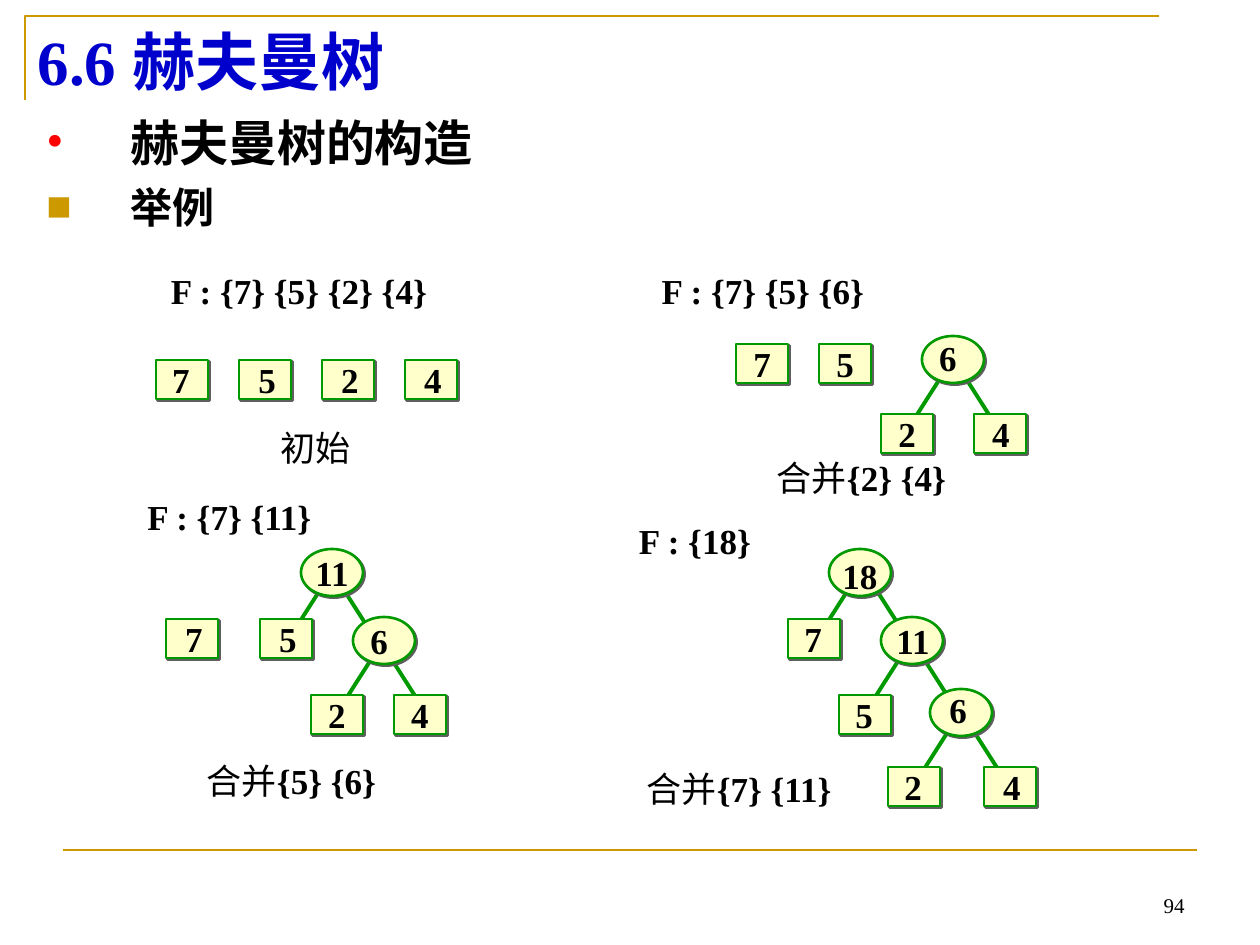
from lxml import etree
from pptx import Presentation
from pptx.dml.color import RGBColor
from pptx.enum.shapes import MSO_CONNECTOR, MSO_SHAPE
from pptx.enum.text import MSO_ANCHOR, MSO_AUTO_SIZE, PP_ALIGN
from pptx.oxml.ns import qn
from pptx.util import Pt

EMU_PER_PX = 914400 / 126
RECT, OVAL = MSO_SHAPE.RECTANGLE, MSO_SHAPE.OVAL
STRAIGHT = MSO_CONNECTOR.STRAIGHT
TOP, MIDDLE, BOTTOM = MSO_ANCHOR.TOP, MSO_ANCHOR.MIDDLE, MSO_ANCHOR.BOTTOM
LEFT, CENTER, RIGHT = PP_ALIGN.LEFT, PP_ALIGN.CENTER, PP_ALIGN.RIGHT
GROW, FIXED = MSO_AUTO_SIZE.SHAPE_TO_FIT_TEXT, MSO_AUTO_SIZE.NONE

SERIF, CJK = "Times New Roman", "Noto Sans CJK SC"
BLACK, BLUE, RED, GOLD = "000000", "0000CC", "FF0000", "CC9900"
GREEN, CREAM, SHADOW = "009900", "FFFFCC", "5F5F5F"

PLAIN = {"size": Pt(20), "name": SERIF, "bold": False}
BOLD = {**PLAIN, "bold": True}
TITLE = {**BOLD, "size": Pt(36)}
NUMBER = {**PLAIN, "size": Pt(12)}

LEAF_SIZE, BRANCH_SIZE = (52, 39), (62, 47)

# label, left, top, label shift from the centre
LEAVES = [
    *((label, 156 + 83 * i, 360, 2 if i else -1) for i, label in enumerate("7524")),
    ("7", 736, 344, 0), ("5", 819, 344, 0), ("2", 881, 414, 0), ("4", 974, 414, 1),
    ("7", 166, 619, 2), ("5", 260, 619, 2), ("2", 311, 695, 0), ("4", 394, 695, 0),
    ("7", 788, 619, -1), ("5", 839, 695, -1), ("2", 888, 767, -1), ("4", 984, 767, 2),
]
# label, left, top, label shift (x, y), start of the right edge below the centre
BRANCHES = [
    ("6", 922, 336, (-5, -2), 16),
    ("11", 301, 549, (0, 0), 16), ("6", 353, 617, (-5, 0), 24),
    ("18", 829, 549, (0, 3), 9), ("11", 881, 617, (1, 0), 17),
    ("6", 930, 689, (-3, -3), 16),
]
# left, top, width, plain part, bold part
CAPTIONS = [
    (158, 263, 282, "", "F : {7} {5} {2} {4}"), (649, 263, 228, "", "F : {7} {5} {6}"),
    (134, 489, 191, "", "F : {7} {11}"), (626, 513, 138, "", "F : {18}"),
    (268, 420, 95, "初始", ""), (760, 450, 203, "合并", "{2} {4}"),
    (190, 753, 203, "合并", "{5} {6}"), (629, 761, 220, "合并", "{7} {11}"),
]


def px(value):
    return round(value * EMU_PER_PX)


def rgb(value):
    return RGBColor.from_string(value)


def add_xml(parent, tag, **attributes):
    child = etree.SubElement(parent, qn(tag))
    for name, value in attributes.items():
        child.set(name, str(value))
    return child


def add_span(para, text, style, color=BLACK):
    span = para.add_run()
    span.text = text
    for name, value in style.items():
        setattr(span.font, name, value)
    span.font.color.rgb = rgb(color)
    add_xml(span.font._element, "a:ea", typeface=CJK)


def format_frame(frame, anchor, wrap):
    settings = {
        "vertical_anchor": anchor, "word_wrap": wrap,
        "auto_size": FIXED if wrap else GROW,
        "margin_left": px(12.6), "margin_right": px(12.6),
        "margin_top": px(6.3), "margin_bottom": px(6.3),
    }
    for name, value in settings.items():
        setattr(frame, name, value)


def add_text(page, left, top, width, height, spans, anchor=MIDDLE, align=CENTER, wrap=False):
    box = page.shapes.add_textbox(px(left), px(top), px(width), px(height))
    format_frame(box.text_frame, anchor, wrap)
    para = box.text_frame.paragraphs[0]
    para.alignment = align
    for text, style in spans:
        if text:
            add_span(para, text, style)


def add_line(page, x1, y1, x2, y2, color, width):
    line = page.shapes.add_connector(STRAIGHT, px(x1), px(y1), px(x2), px(y2))
    line.line.color.rgb = rgb(color)
    line.line.width = Pt(width)
    add_xml(line._element.spPr, "a:effectLst")


def add_node(page, kind, size, left, top):
    """Draw a tree node with a hard shadow to its lower right."""
    node = page.shapes.add_shape(kind, px(left), px(top), px(size[0]), px(size[1]))
    node.fill.solid()
    node.fill.fore_color.rgb = rgb(CREAM)
    node.line.color.rgb = rgb(GREEN)
    node.line.width = Pt(1.5)
    effects = add_xml(node._element.spPr, "a:effectLst")
    shadow = add_xml(effects, "a:outerShdw", dist=Pt(1.4), dir=45 * 60000,
                     algn="ctr", rotWithShape=0)
    add_xml(shadow, "a:srgbClr", val=SHADOW)


def add_label(page, size, left, top, text, dx=0, dy=0):
    """Centre a label on a node, moved by dx and dy."""
    width, height = 43 if len(text) == 1 else 84, 55
    add_text(page, left + (size[0] - width) / 2 + dx, top + (size[1] - height) / 2 + dy,
             width, height, [(text, BOLD)], wrap=len(text) > 1)


def add_edges(page, left, top, right_drop):
    """Draw the edges from a branch to its two children."""
    center_x, center_y = left + BRANCH_SIZE[0] / 2, top + BRANCH_SIZE[1] / 2
    for side, drop in ((-1, 16), (1, right_drop)):
        add_line(page, center_x + side * 11, center_y + drop,
                 center_x + side * 41, center_y + drop + 47, GREEN, 2.25)


def add_frame(page):
    builder = page.shapes.build_freeform(25, 100, scale=EMU_PER_PX)
    builder.add_line_segments([(25, 16), (1159, 16)], close=False)
    corner = builder.convert_to_shape()
    corner.shadow.inherit = False
    corner.fill.background()
    corner.line.color.rgb = rgb(GOLD)
    corner.line.width = Pt(1.5)
    add_line(page, 63, 850, 1197, 850, GOLD, 1.5)


def add_title(page):
    title = page.shapes.title
    for name, value in zip(("left", "top", "width", "height"), (25, 16, 1134, 89)):
        setattr(title, name, px(value))
    format_frame(title.text_frame, TOP, True)
    para = title.text_frame.paragraphs[0]
    para.alignment = LEFT
    add_span(para, "6.6 赫夫曼树", TITLE, BLUE)


def add_bullets(page):
    box = page.shapes.add_textbox(px(34), px(106), px(1152), px(694))
    frame = box.text_frame
    format_frame(frame, TOP, True)
    items = [("赫夫曼树的构造", 28, "•", RED, 0), ("举例", 24, "■", GOLD, 6)]
    for i, (text, size, bullet, color, space) in enumerate(items):
        para = frame.add_paragraph() if i else frame.paragraphs[0]
        para.space_before = Pt(space)
        properties = para._p.get_or_add_pPr()
        properties.set("marL", str(px(84)))
        properties.set("indent", str(px(-84)))
        add_xml(add_xml(properties, "a:buClr"), "a:srgbClr", val=color)
        add_xml(properties, "a:buFont", typeface=SERIF)
        add_xml(properties, "a:buChar", char=bullet)
        add_span(para, text, {"size": Pt(size), "name": CJK, "bold": True})


def main():
    deck = Presentation()
    deck.slide_width, deck.slide_height = px(1260), px(945)
    page = deck.slides.add_slide(deck.slide_layouts[5])
    add_frame(page)
    add_text(page, 903, 861, 294, 63, [("94", NUMBER)], BOTTOM, RIGHT, True)
    add_title(page)
    add_bullets(page)
    for left, top, width, plain, bold in CAPTIONS:
        add_text(page, left, top, width, 55, [(plain, PLAIN), (bold, BOLD)])
    for _, left, top, _, right_drop in BRANCHES:
        add_edges(page, left, top, right_drop)
    for label, left, top, shift in LEAVES:
        add_node(page, RECT, LEAF_SIZE, left, top)
        add_label(page, LEAF_SIZE, left, top, label, shift)
    for label, left, top, shift, _ in BRANCHES:
        add_node(page, OVAL, BRANCH_SIZE, left, top)
        add_label(page, BRANCH_SIZE, left, top, label, *shift)
    deck.save("out.pptx")


if __name__ == "__main__":
    main()
